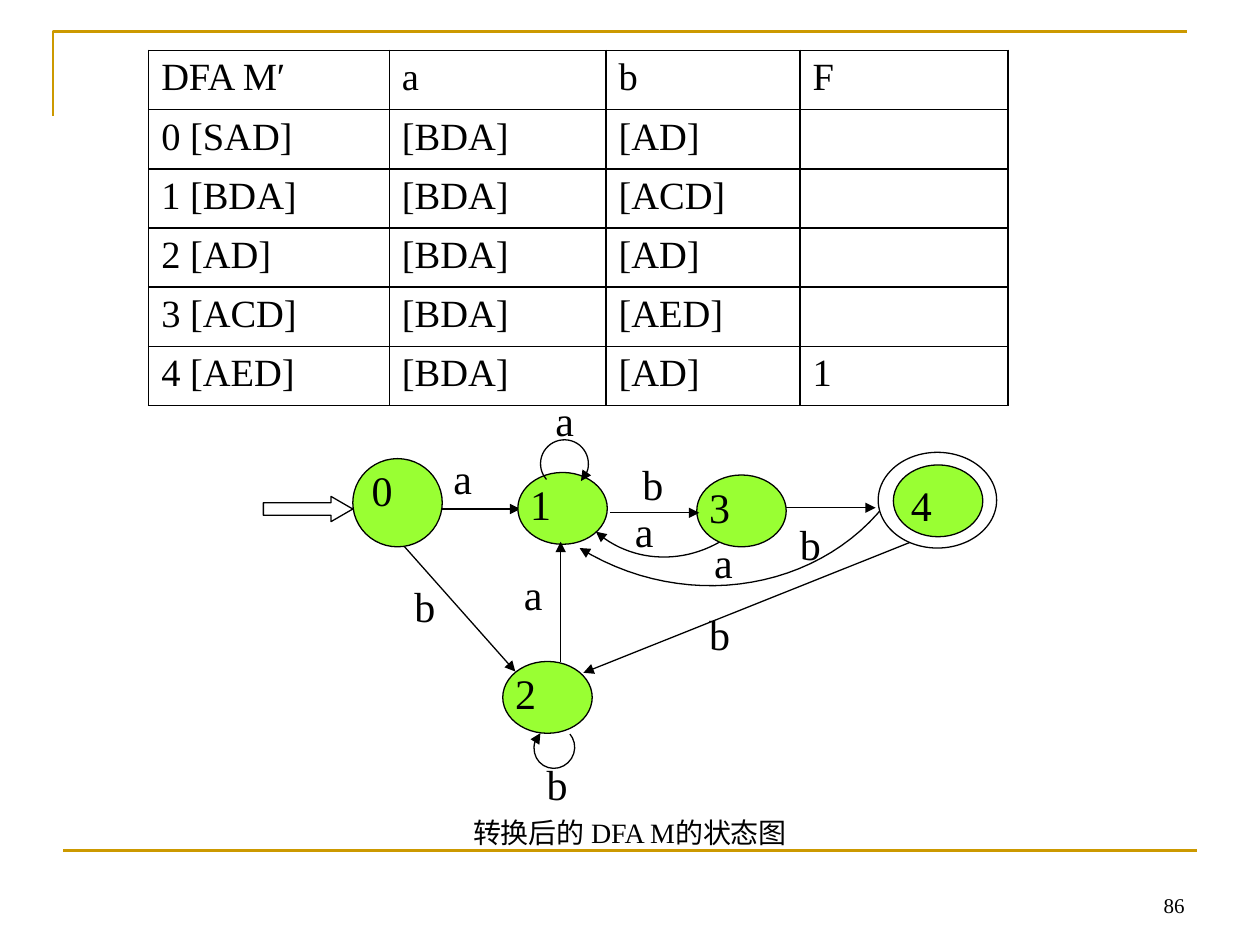
from dataclasses import dataclass

from lxml.etree import SubElement
from pptx import Presentation
from pptx.dml.color import RGBColor
from pptx.enum.shapes import MSO_CONNECTOR, MSO_SHAPE
from pptx.enum.text import MSO_ANCHOR, PP_ALIGN
from pptx.oxml import parse_xml
from pptx.oxml.ns import nsdecls, qn
from pptx.util import Inches, Pt


@dataclass(frozen=True)
class Theme:
    font: str = "Times New Roman"
    ink: str = "000000"
    paper: str = "FFFFFF"
    gold: str = "CC9900"
    state: str = "99FF33"
    table_size: float = 22
    label_size: float = 24
    caption_size: float = 16
    number_size: float = 12
    thin: float = 0.75
    border: float = 1
    rule: float = 1.5


THEME = Theme()

TRANSITIONS = [
    ("DFA M′", "a", "b", "F"),
    ("0 [SAD]", "[BDA]", "[AD]", ""),
    ("1 [BDA]", "[BDA]", "[ACD]", ""),
    ("2 [AD]", "[BDA]", "[AD]", ""),
    ("3 [ACD]", "[BDA]", "[AED]", ""),
    ("4 [AED]", "[BDA]", "[AD]", "1"),
]
COLUMN_WIDTHS = (1.91, 1.72, 1.54, 1.65)
ROW_HEIGHT = 0.47

# left, top, width, height, fill; the ring marks the accepting state
STATES = [
    (2.8, 3.64, 0.71, 0.7, THEME.state),
    (4.11, 3.75, 0.71, 0.57, THEME.state),
    (3.99, 5.25, 0.71, 0.57, THEME.state),
    (5.53, 3.77, 0.71, 0.57, THEME.state),
    (6.97, 3.59, 0.94, 0.76, THEME.paper),
    (7.09, 3.69, 0.71, 0.57, THEME.state),
]
# text, left, top
LABELS = [
    ("0", 2.85, 3.64), ("1", 4.11, 3.75), ("2", 3.99, 5.25),
    ("3", 5.53, 3.77), ("4", 7.13, 3.76),
    ("a", 4.31, 3.08), ("a", 3.5, 3.54), ("b", 5, 3.59),
    ("a", 4.94, 3.96), ("a", 5.57, 4.21), ("b", 6.25, 4.07),
    ("b", 3.19, 4.56), ("a", 4.06, 4.46), ("b", 5.53, 4.78),
    ("b", 4.24, 5.97),
]
EDGES_BEHIND = [
    ((7.46, 4.21), (4.63, 5.34)),
    ((2.91, 4), (4.09, 5.33)),
    ((3.43, 4.04), (4.13, 4.04)),
    ((6.24, 4.03), (6.95, 4.03)),
]
EDGES_IN_FRONT = [
    ((4.84, 4.07), (5.55, 4.07)),
    ((4.45, 5.25), (4.45, 4.3)),
]
# Bezier control points
CURVED_EDGES = [
    ((7.19, 3.75), (6.72, 4.65), (5.52, 4.92), (4.6, 4.35)),
    ((5.93, 4.13), (5.6, 4.48), (5.07, 4.52), (4.73, 4.22)),
]
# left, top, width, height, rotation
SELF_LOOPS = [
    (4.29, 3.49, 0.38, 0.38, 211.9),
    (4.24, 5.77, 0.32, 0.33, 31.9),
]
LOOP_ANGLES = (172.107, 116.723)


def color(value):
    return RGBColor.from_string(value)


def set_line(item, width=THEME.thin, ink=THEME.ink, arrow=False):
    item.line.color.rgb = color(ink)
    item.line.width = Pt(width)
    if arrow:
        SubElement(item.line._get_or_add_ln(), qn("a:tailEnd"), type="triangle")


def write(frame, text, size, align=PP_ALIGN.LEFT):
    para = frame.paragraphs[0]
    para.alignment = align
    span = para.add_run()
    span.text = text
    span.font.name = THEME.font
    span.font.size = Pt(size)
    span.font.color.rgb = color(THEME.ink)


def add_text(page, text, left, top, width=0.71, height=0.57, *,
             size=THEME.label_size, align=PP_ALIGN.LEFT, anchor=MSO_ANCHOR.TOP):
    box = page.shapes.add_textbox(*map(Inches, (left, top, width, height)))
    box.text_frame.word_wrap = True
    box.text_frame.vertical_anchor = anchor
    write(box.text_frame, text, size, align)


def add_shape(page, kind, bounds, fill=None, arrow=False):
    shape = page.shapes.add_shape(kind, *map(Inches, bounds))
    shape.shadow.inherit = False
    if fill:
        shape.fill.solid()
        shape.fill.fore_color.rgb = color(fill)
    else:
        shape.fill.background()
    set_line(shape, arrow=arrow)
    return shape


def add_line(page, start, end, **line):
    connector = page.shapes.add_connector(
        MSO_CONNECTOR.STRAIGHT, *map(Inches, start + end))
    set_line(connector, **line)
    SubElement(connector._element.spPr, qn("a:effectLst"))


def add_path(page, points, **line):
    start, *rest = [tuple(map(Inches, point)) for point in points]
    builder = page.shapes.build_freeform(*start)
    builder.add_line_segments(rest, close=False)
    path = builder.convert_to_shape()
    path.shadow.inherit = False
    path.fill.background()
    set_line(path, **line)


def bezier(controls, steps=30):
    """Return points along a cubic Bezier curve."""
    points = []
    for step in range(steps + 1):
        t = step / steps
        weights = ((1 - t) ** 3, 3 * t * (1 - t) ** 2, 3 * t * t * (1 - t), t ** 3)
        points.append(tuple(sum(w * value for w, value in zip(weights, axis))
                            for axis in zip(*controls)))
    return points


def add_table(page):
    rows, columns = len(TRANSITIONS), len(COLUMN_WIDTHS)
    table = page.shapes.add_table(
        rows, columns, Inches(1.18), Inches(0.4),
        Inches(sum(COLUMN_WIDTHS)), Inches(rows * ROW_HEIGHT)).table
    table.first_row = table.horz_banding = False
    for column, width in zip(table.columns, COLUMN_WIDTHS):
        column.width = Inches(width)
    for row, texts in zip(table.rows, TRANSITIONS):
        row.height = Inches(ROW_HEIGHT)
        for cell, text in zip(row.cells, texts):
            cell.fill.background()
            for index, side in enumerate("LRTB"):
                cell._tc.get_or_add_tcPr().insert(index, parse_xml(
                    f'<a:ln{side} {nsdecls("a")} w="{Pt(THEME.border)}"><a:solidFill>'
                    f'<a:srgbClr val="{THEME.ink}"/></a:solidFill></a:ln{side}>'))
            if text:
                write(cell.text_frame, text, THEME.table_size)


def add_diagram(page):
    for controls in CURVED_EDGES:
        add_path(page, bezier(controls), arrow=True)
    for start, end in EDGES_BEHIND:
        add_line(page, start, end, arrow=True)
    entry = add_shape(page, MSO_SHAPE.RIGHT_ARROW, (2.09, 3.94, 0.71, 0.2), THEME.paper)
    entry.adjustments[1] = 0.864
    for *bounds, fill in STATES:
        add_shape(page, MSO_SHAPE.OVAL, bounds, fill)
    for start, end in EDGES_IN_FRONT:
        add_line(page, start, end, arrow=True)
    for *bounds, rotation in SELF_LOOPS:
        loop = add_shape(page, MSO_SHAPE.ARC, bounds, arrow=True)
        loop.adjustments[0], loop.adjustments[1] = LOOP_ANGLES
        loop.rotation = rotation
    for text, left, top in LABELS:
        add_text(page, text, left, top)


def main():
    deck = Presentation()
    deck.slide_width, deck.slide_height = Inches(10), Inches(7.5)
    page = deck.slides.add_slide(deck.slide_layouts[6])
    gold_rule = {"width": THEME.rule, "ink": THEME.gold}
    add_path(page, [(0.42, 0.92), (0.42, 0.25), (9.42, 0.25)], **gold_rule)
    add_line(page, (0.5, 6.75), (9.5, 6.75), **gold_rule)
    add_table(page)
    add_text(page, "转换后的 DFA M的状态图", 2.4, 6.42, 5.2,
             size=THEME.caption_size, align=PP_ALIGN.CENTER)
    add_text(page, "86", 7.17, 6.83, 2.33, 0.5, size=THEME.number_size,
             align=PP_ALIGN.RIGHT, anchor=MSO_ANCHOR.BOTTOM)
    add_diagram(page)
    deck.save("out.pptx")


if __name__ == "__main__":
    main()
